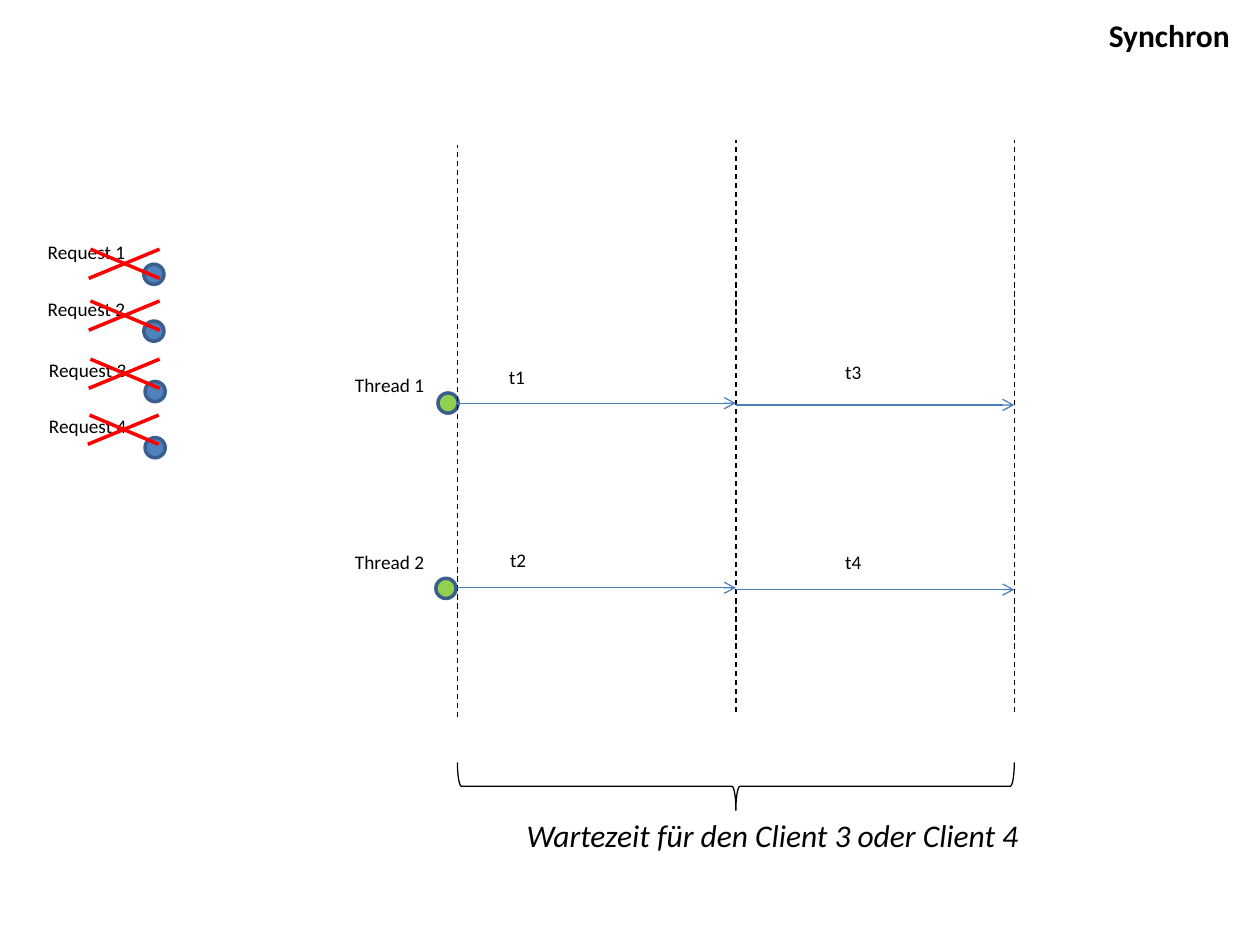
from pptx import Presentation
from pptx.dml.color import RGBColor
from pptx.enum.dml import MSO_LINE_DASH_STYLE as Dash
from pptx.enum.shapes import MSO_CONNECTOR as Connector, MSO_SHAPE as Shape
from pptx.enum.text import MSO_ANCHOR as Anchor, MSO_AUTO_SIZE as AutoSize, PP_ALIGN as Align
from pptx.oxml.ns import qn
from pptx.util import Pt
from lxml.etree import SubElement

BLACK, RED = "000000", "FF0000"
BLUE, GREEN, OUTLINE, ARROW = "4F81BD", "92D050", "3A5F8C", "4B7EBC"
START, MIDDLE, END = 261.4, 420.5, 579.6
DOT = 11.5


def color(value):
    return RGBColor.from_string(value)


def write(box, text, size=11, bold=False, italic=False):
    frame = box.text_frame
    frame.word_wrap = False
    frame.auto_size = AutoSize.SHAPE_TO_FIT_TEXT
    frame.vertical_anchor = Anchor.TOP
    para = frame.paragraphs[0]
    para.alignment = Align.LEFT
    span = para.add_run()
    span.text = text
    span.font.name = "Calibri"
    span.font.size = Pt(size)
    span.font.bold = bold
    span.font.italic = italic
    span.font.color.rgb = color(BLACK)


def add_title(page, text, left, top, width, height):
    title = page.shapes.title
    title.left, title.top = Pt(left), Pt(top)
    title.width, title.height = Pt(width), Pt(height)
    write(title, text, size=18, bold=True)


def add_label(page, text, left, top, width, height=20.6, **text_format):
    box = page.shapes.add_textbox(Pt(left), Pt(top), Pt(width), Pt(height))
    write(box, text, **text_format)


def add_dot(page, left, top, fill):
    dot = page.shapes.add_shape(Shape.OVAL, Pt(left), Pt(top), Pt(DOT), Pt(DOT))
    dot.shadow.inherit = False
    dot.fill.solid()
    dot.fill.fore_color.rgb = color(fill)
    dot.line.color.rgb = color(OUTLINE)
    dot.line.width = Pt(2)


def add_line(shapes, x1, y1, x2, y2, stroke, width=0.75, dash=None, arrow=False):
    line = shapes.add_connector(Connector.STRAIGHT, Pt(x1), Pt(y1), Pt(x2), Pt(y2))
    line.line.color.rgb = color(stroke)
    line.line.width = Pt(width)
    if dash:
        line.line.dash_style = dash
    if arrow:
        SubElement(line.line._get_or_add_ln(), qn("a:tailEnd"), type="arrow")
    SubElement(line._element.spPr, qn("a:effectLst"))


def add_cross(page, left, top):
    group = page.shapes.add_group_shape()
    right, bottom = left + 40.5, top + 16.7
    add_line(group.shapes, left + 1, top, right, bottom, RED, width=2)
    add_line(group.shapes, left, bottom, right, top, RED, width=2)


def add_brace(page, left, top, width, height):
    brace = page.shapes.add_shape(Shape.LEFT_BRACE, Pt(left), Pt(top), Pt(width), Pt(height))
    brace.rotation = 270
    brace.shadow.inherit = False
    brace.fill.background()
    brace.line.color.rgb = color(BLACK)
    brace.line.width = Pt(0.75)


def add_request(page, number, left, top):
    add_dot(page, left + 62, top + 17.1, BLUE)
    add_label(page, f"Request {number}", left, top, 59.8)


def add_thread(page, number, dot_left, dot_top, label_top):
    add_dot(page, dot_left, dot_top, GREEN)
    add_label(page, f"Thread {number}", 195.8, label_top, 54.7)


def main():
    deck = Presentation()
    deck.slide_width, deck.slide_height = Pt(720), Pt(540)
    page = deck.slides.add_slide(deck.slide_layouts[5])
    add_title(page, "Synchron", 626.4, 5.8, 84.2, 29)

    requests = [(20.2, 133.9), (20.2, 166.4), (20.9, 200.9), (20.9, 233)]
    for number, (left, top) in enumerate(requests, start=1):
        add_request(page, number, left, top)

    add_thread(page, 1, 250.3, 224.6, 209.5)
    add_thread(page, 2, 249.1, 330.5, 311)

    for x, top in [(START, 82.8), (MIDDLE, 79.9), (END, 79.9)]:
        add_line(page.shapes, x, top + 326.9, x, top, BLACK, dash=Dash.DASH)

    for y in (230.4, 335.9):
        add_line(page.shapes, START, y, MIDDLE, y, ARROW, arrow=True)
        add_line(page.shapes, MIDDLE, y + 1, END, y + 1, ARROW, arrow=True)

    times = [(283.7, 205.2), (284.4, 309.6), (475.9, 202.3), (475.9, 311)]
    for number, (left, top) in enumerate(times, start=1):
        add_label(page, f"t{number}", left, top, 23.8)

    for left, top in [(50.7, 142.4), (50.7, 172), (50.7, 205.2), (50.2, 237.2)]:
        add_cross(page, left, top)

    add_brace(page, 406.8, 290.2, 27.4, END - START)
    add_label(page, "Wartezeit für den Client 3 oder Client 4", 293.8, 463, 298.8, 29,
              size=18, italic=True)
    deck.save("out.pptx")


if __name__ == "__main__":
    main()
